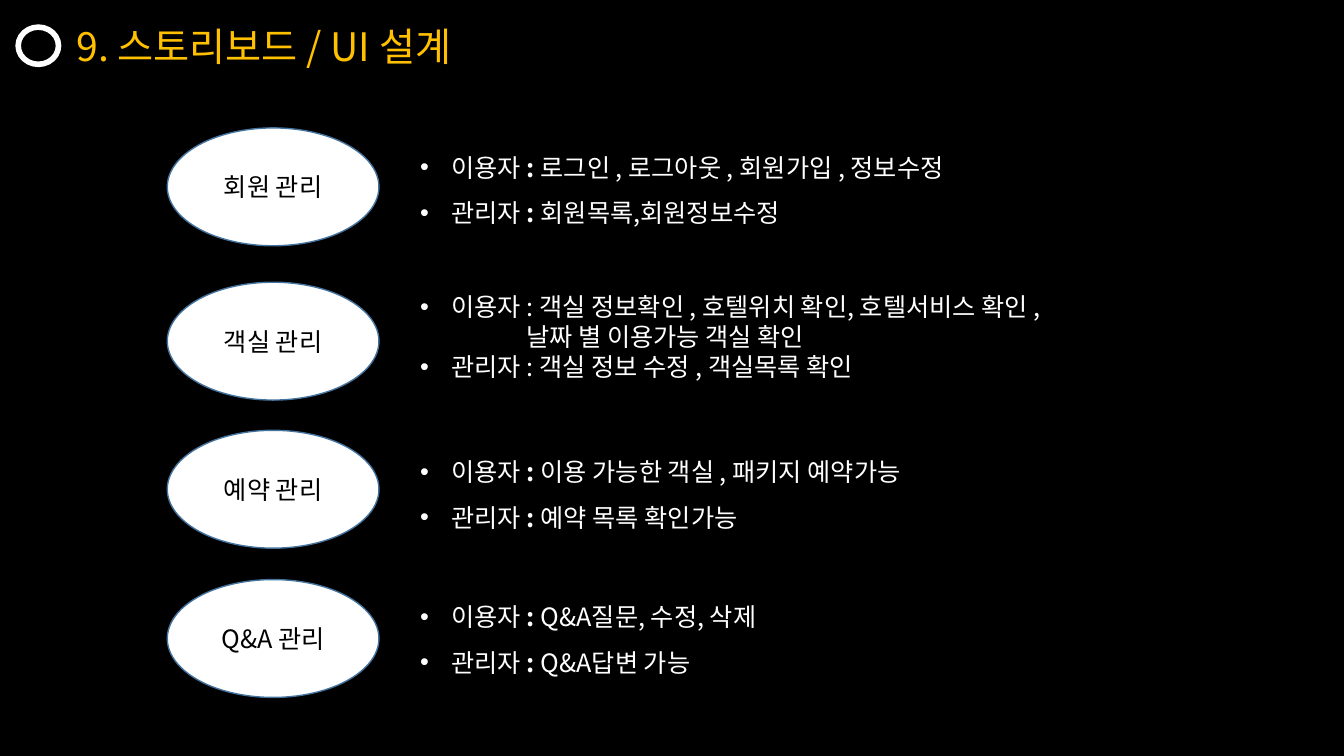
from dataclasses import dataclass

import pptx
import pptx.dml.color
import pptx.enum.shapes
import pptx.enum.text
import pptx.oxml.ns
import pptx.util
from lxml import etree

Pt = pptx.util.Pt
RGB = pptx.dml.color.RGBColor.from_string
OVAL = pptx.enum.shapes.MSO_SHAPE.OVAL
ALIGN = pptx.enum.text.PP_ALIGN
ANCHOR = pptx.enum.text.MSO_ANCHOR
FIT = pptx.enum.text.MSO_AUTO_SIZE.SHAPE_TO_FIT_TEXT
qn = pptx.oxml.ns.qn


@dataclass(frozen=True)
class Theme:
    font: str = "Noto Sans CJK KR"
    dark: str = "000000"
    light: str = "FFFFFF"
    accent: str = "FFC000"
    outline: str = "43739E"
    title_size: float = 28
    body_size: float = 18


THEME = Theme()


@dataclass(frozen=True)
class Topic:
    name: str
    top: float
    text_offset: float
    text_height: float
    lines: tuple
    spacings: tuple
    bold_colon: bool = True


USER, ADMIN = "이용자", "관리자"
TOPICS = (
    Topic("회원 관리", 91.4, 2.9, 72.7,
          ((USER, "로그인 , 로그아웃 , 회원가입 , 정보수정"),
           (ADMIN, "회원목록,회원정보수정")), (1.5, 1.5)),
    Topic("객실 관리", 201.6, 2.9, 72.7,
          ((USER, "객실 정보확인 , 호텔위치 확인, 호텔서비스 확인 ,"),
           (None, "날짜 별 이용가능 객실 확인"),
           (ADMIN, "객실 정보 수정 , 객실목록 확인")), (1, 1, 1), False),
    Topic("예약 관리", 307.4, 4.3, 72.7,
          ((USER, "이용 가능한 객실 , 패키지 예약가능"),
           (ADMIN, "예약 목록 확인가능")), (1.5, 1.5)),
    Topic("Q&A 관리", 414, 12.2, 61.9,
          ((USER, "Q&A질문, 수정, 삭제"),
           (ADMIN, "Q&A답변 가능")), (1, 1.5)),
)


def style_run(r, size, color, bold=False):
    r.font.name = THEME.font
    r.font.size = Pt(size)
    r.font.color.rgb = RGB(color)
    r.font.bold = bold
    ea = etree.SubElement(r.font._element, qn("a:ea"))
    ea.set("typeface", THEME.font)


def add_run(p, text, size, color, bold=False):
    r = p.add_run()
    r.text = text
    style_run(r, size, color, bold)


def add_text_box(s, left, top, width, height):
    tf = s.shapes.add_textbox(Pt(left), Pt(top), Pt(width), Pt(height)).text_frame
    tf.word_wrap = True
    tf.auto_size = FIT
    return tf


def add_oval(s, left, top, width, height, fill, line, weight):
    sp = s.shapes.add_shape(OVAL, Pt(left), Pt(top), Pt(width), Pt(height))
    sp.shadow.inherit = False
    sp.fill.solid()
    sp.fill.fore_color.rgb = RGB(fill)
    sp.line.color.rgb = RGB(line)
    sp.line.width = Pt(weight)
    return sp


def set_indent(p, left, bullet):
    pPr = p._p.get_or_add_pPr()
    pPr.set("marL", str(Pt(left)))
    if bullet:
        pPr.set("indent", str(-Pt(left)))
        font = etree.SubElement(pPr, qn("a:buFont"))
        font.set("typeface", "Arial")
        etree.SubElement(pPr, qn("a:buChar")).set("char", "•")


def add_header(s, left, top, width, height):
    add_oval(s, left, top + 7.2, 28.8, 26.6, THEME.dark, THEME.light, 4)
    tf = add_text_box(s, left + 34.5, top, width - 34.5, height)
    tf.text = "9. 스토리보드 / UI 설계"
    style_run(tf.paragraphs[0].runs[0], THEME.title_size, THEME.accent)


def add_topic(s, topic, left, top, width):
    sp = add_oval(s, left, top, 151.2, 84.2, THEME.light, THEME.outline, 1)
    tf = sp.text_frame
    tf.text = topic.name
    tf.vertical_anchor = ANCHOR.MIDDLE
    p = tf.paragraphs[0]
    p.alignment = ALIGN.CENTER
    style_run(p.runs[0], THEME.body_size, THEME.dark)

    tf = add_text_box(s, left + 173.5, top + topic.text_offset,
                      width - 173.5, topic.text_height)
    for i, ((role, detail), spacing) in enumerate(zip(topic.lines, topic.spacings)):
        p = tf.add_paragraph() if i else tf.paragraphs[0]
        set_indent(p, 22.5 if role else 76, bool(role))
        p.line_spacing = float(spacing)
        if role:
            add_run(p, role + " ", THEME.body_size, THEME.light)
            add_run(p, ": ", THEME.body_size, THEME.light, topic.bold_colon)
        add_run(p, detail, THEME.body_size, THEME.light)


def main():
    prs = pptx.Presentation()
    prs.slide_width, prs.slide_height = Pt(960), Pt(540)
    s = prs.slides.add_slide(prs.slide_layouts[6])
    s.background.fill.solid()
    s.background.fill.fore_color.rgb = RGB(THEME.dark)
    add_header(s, 13, 12.2, 400, 41)
    for topic in TOPICS:
        add_topic(s, topic, 119.5, topic.top, 726.5)
    prs.save("out.pptx")


if __name__ == "__main__":
    main()
